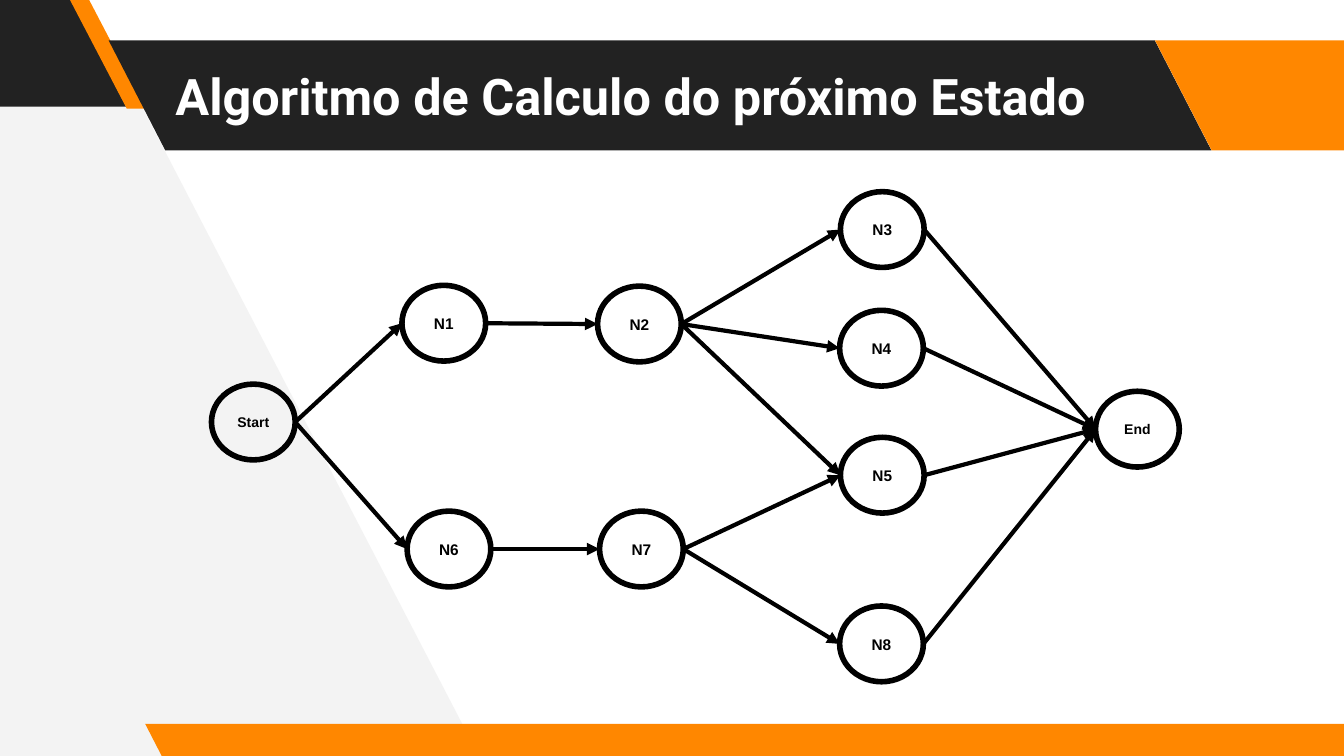
import dataclasses
import typing

import lxml.etree
import pptx
import pptx.dml.color
import pptx.enum.shapes
import pptx.enum.text
import pptx.oxml.ns
import pptx.util

Cm = pptx.util.Cm
Pt = pptx.util.Pt
Shapes = pptx.enum.shapes.MSO_SHAPE
Align = pptx.enum.text.PP_ALIGN


@dataclasses.dataclass(frozen=True)
class Theme:
    """Colours, fonts and sizes in points."""
    dark: str = "222222"
    accent: str = "FF8700"
    panel: str = "F3F3F3"
    ink: str = "000000"
    paper: str = "FFFFFF"
    title_font: str = "Roboto"
    node_font: str = "Arial"
    title_size: int = 36
    node_size: int = 11
    terminal_size: int = 10
    ring: int = 4
    arrow: int = 3


class Band(typing.NamedTuple):
    """A slanted band, in centimetres."""
    left: float
    top: float
    width: float
    height: float
    slant: float
    color: str


class Node(typing.NamedTuple):
    """A state of the graph, placed by its top left corner in centimetres."""
    label: str
    left: float
    top: float


THEME = Theme()
SLIDE_WIDTH, SLIDE_HEIGHT = 33.87, 19.05
NODE_WIDTH, NODE_HEIGHT = 2.11, 1.91
LEFT_SITE, RIGHT_SITE = 2, 6  # connection sites of an ellipse
PANEL = [(0, 0), (2.18, 0), (12.07, SLIDE_HEIGHT), (0, SLIDE_HEIGHT)]

BANDS = [
    Band(-3.35, -0.08, 6.53, 2.77, 0.515, THEME.dark),
    Band(1.75, -0.03, 1.93, 2.77, 0.75, THEME.accent),
    Band(2.74, 1.02, 27.79, 2.77, 0.515, THEME.dark),
    Band(29.11, 1.02, 6.53, 2.77, 0.515, THEME.accent),
    Band(3.66, 18.24, 30.99, 0.84, 0.515, THEME.accent),
]
NODES = [
    Node("Start", 5.33, 9.68),
    Node("N1", 10.13, 7.19),
    Node("N2", 15.06, 7.21),
    Node("N3", 21.18, 4.83),
    Node("N4", 21.16, 7.82),
    Node("N5", 21.18, 11.02),
    Node("N6", 10.26, 12.88),
    Node("N7", 15.11, 12.88),
    Node("N8", 21.16, 15.27),
    Node("End", 27.61, 9.86),
]
NEXT_STATES = {
    "Start": ["N1", "N6"],
    "N1": ["N2"],
    "N2": ["N3", "N4", "N5"],
    "N6": ["N7"],
    "N7": ["N5", "N8"],
    "N3": ["End"],
    "N4": ["End"],
    "N5": ["End"],
    "N8": ["End"],
}


def rgb(color: str) -> pptx.dml.color.RGBColor:
    """Turn a hex string into a colour."""
    return pptx.dml.color.RGBColor.from_string(color)


def write_text(box, text: str, *, font: str, size: int, color: str,
               align, inset: float = 0) -> None:
    """Write one bold, vertically centred line into a shape."""
    frame = box.text_frame
    frame.word_wrap = True
    frame.auto_size = pptx.enum.text.MSO_AUTO_SIZE.NONE
    frame.vertical_anchor = pptx.enum.text.MSO_ANCHOR.MIDDLE
    frame.margin_left = frame.margin_right = Cm(inset)
    frame.margin_top = frame.margin_bottom = Cm(inset)
    para = frame.paragraphs[0]
    para.alignment = align
    span = para.add_run()
    span.text = text
    span.font.name = font
    span.font.size = Pt(size)
    span.font.bold = True
    span.font.color.rgb = rgb(color)


def paint(shape, color: str) -> None:
    """Give a shape a flat fill without line or shadow."""
    shape.shadow.inherit = False
    shape.fill.solid()
    shape.fill.fore_color.rgb = rgb(color)
    shape.line.fill.background()


def draw_panel(page) -> None:
    """Draw the slanted side panel."""
    start, *others = [(Cm(x), Cm(y)) for x, y in PANEL]
    builder = page.shapes.build_freeform(*start)
    builder.add_line_segments(others, close=True)
    paint(builder.convert_to_shape(), THEME.panel)


def draw_band(page, band: Band) -> None:
    """Draw a parallelogram that leans to the left."""
    shape = page.shapes.add_shape(
        Shapes.PARALLELOGRAM, Cm(band.left), Cm(band.top), Cm(band.width), Cm(band.height))
    shape.adjustments[0] = band.slant
    shape._element.spPr.get_or_add_xfrm().set("flipH", "1")
    paint(shape, band.color)


def draw_title(page, text: str) -> None:
    """Place the title placeholder in front of the bands."""
    title = page.shapes.title
    page.shapes._spTree.append(title._element)
    title.left, title.top = Cm(4.09), Cm(1.02)
    title.width, title.height = Cm(24.92), Cm(2.77)
    write_text(title, text, font=THEME.title_font, size=THEME.title_size,
               color=THEME.paper, align=Align.LEFT, inset=0.33)


def draw_node(page, node: Node):
    """Draw a state as a labelled ring."""
    ring = page.shapes.add_shape(
        Shapes.OVAL, Cm(node.left), Cm(node.top), Cm(NODE_WIDTH), Cm(NODE_HEIGHT))
    ring.shadow.inherit = False
    ring.fill.background()
    ring.line.color.rgb = rgb(THEME.ink)
    ring.line.width = Pt(THEME.ring)
    terminal = node.label in ("Start", "End")
    write_text(ring, node.label, font=THEME.node_font, color=THEME.ink, align=Align.CENTER,
               size=THEME.terminal_size if terminal else THEME.node_size)
    return ring


def draw_arrow(page, source, target) -> None:
    """Connect the right side of one ring to the left side of another."""
    arrow = page.shapes.add_connector(
        pptx.enum.shapes.MSO_CONNECTOR.STRAIGHT,
        source.left + source.width, source.top + source.height // 2,
        target.left, target.top + target.height // 2)
    arrow._connect_begin_to(source, RIGHT_SITE)
    arrow._connect_end_to(target, LEFT_SITE)
    arrow.line.color.rgb = rgb(THEME.ink)
    arrow.line.width = Pt(THEME.arrow)
    qn = pptx.oxml.ns.qn
    lxml.etree.SubElement(arrow.line._get_or_add_ln(), qn("a:tailEnd"), type="triangle")
    lxml.etree.SubElement(arrow._element.spPr, qn("a:effectLst"))


def main() -> None:
    """Build the slide and save it."""
    deck = pptx.Presentation()
    deck.slide_width, deck.slide_height = Cm(SLIDE_WIDTH), Cm(SLIDE_HEIGHT)
    page = deck.slides.add_slide(deck.slide_layouts.get_by_name("Title Only"))
    draw_panel(page)
    for band in BANDS:
        draw_band(page, band)
    draw_title(page, "Algoritmo de Calculo do próximo Estado")
    rings = {node.label: draw_node(page, node) for node in NODES}
    for source, targets in NEXT_STATES.items():
        for target in targets:
            draw_arrow(page, rings[source], rings[target])
    deck.save("out.pptx")


main()
